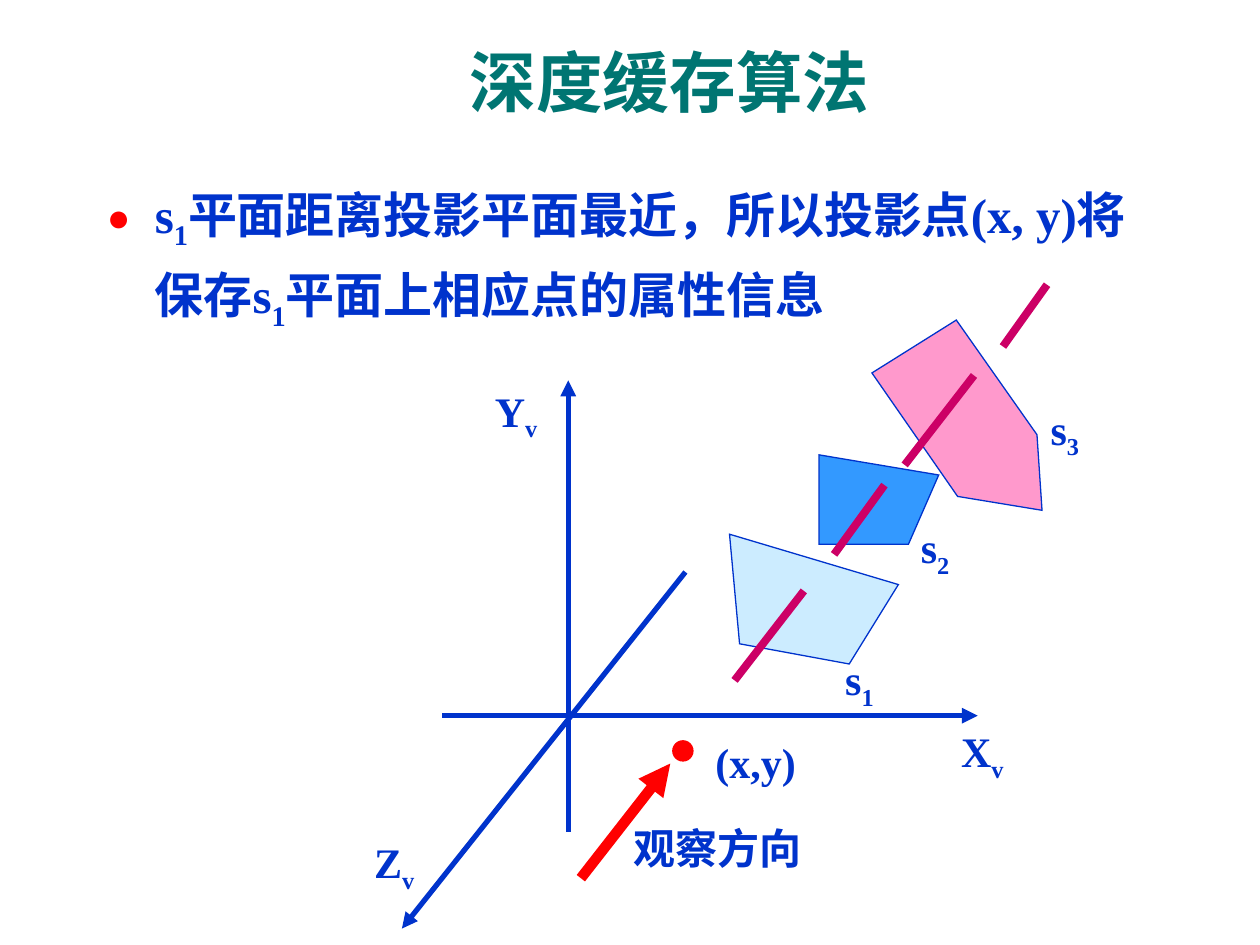
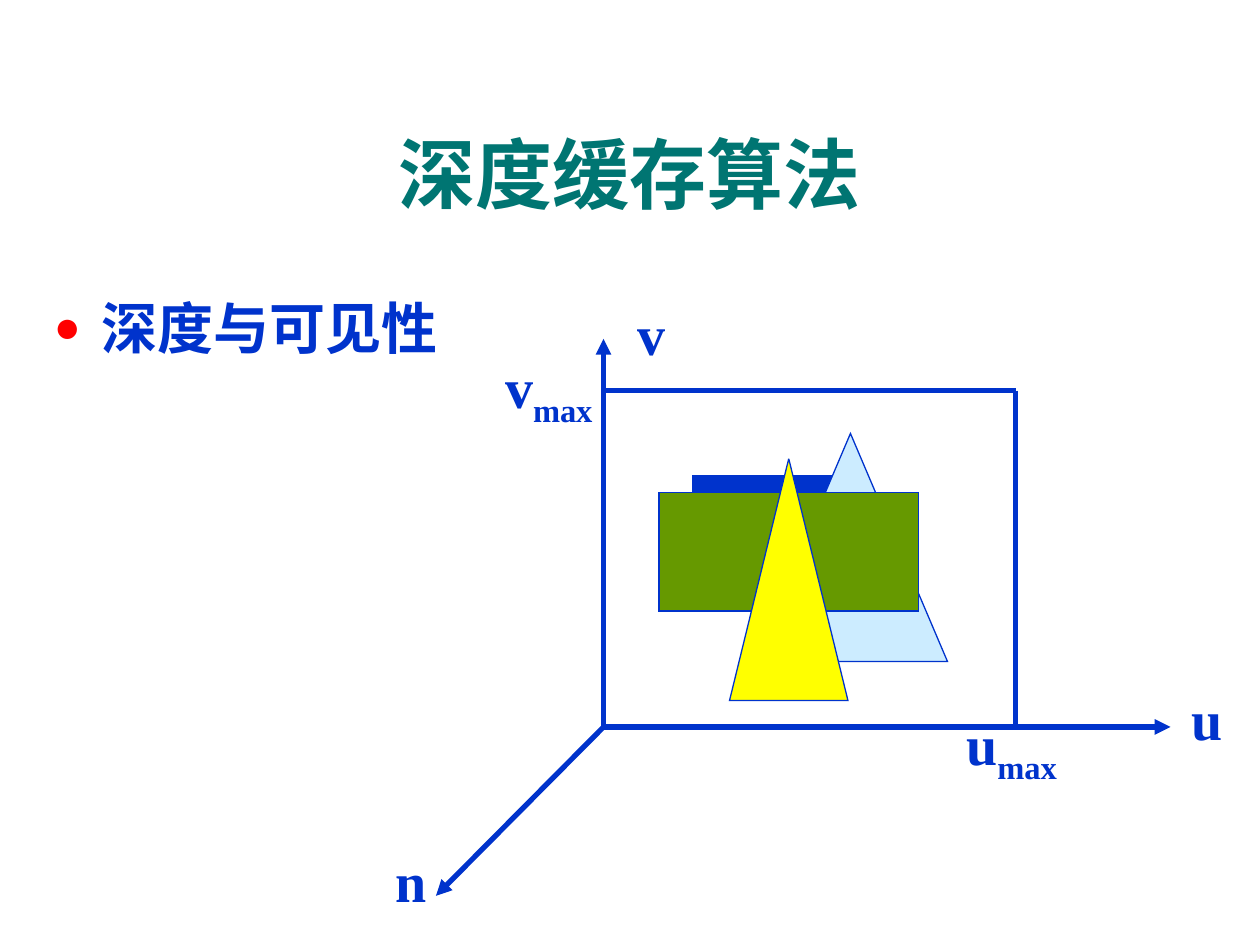
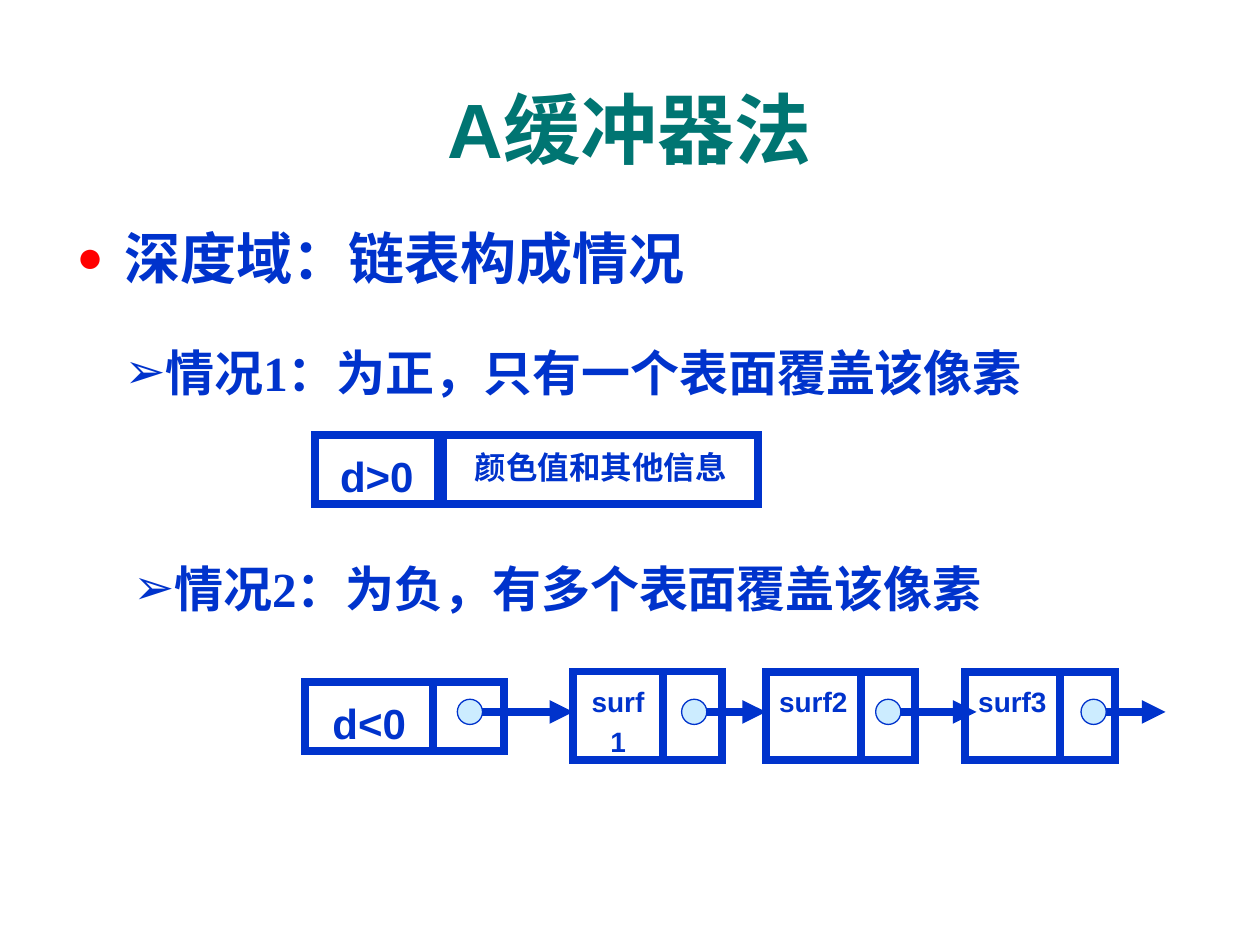
from lxml import etree
from pptx import Presentation
from pptx.dml.color import RGBColor
from pptx.enum.shapes import MSO_CONNECTOR as Connector, MSO_SHAPE as Preset
from pptx.enum.text import (
    MSO_ANCHOR as Anchor, MSO_AUTO_SIZE as AutoSize, PP_ALIGN as Align)
from pptx.oxml.ns import qn
from pptx.util import Inches, Pt

COLORS = {
    "title": "007572",
    "blue": "0033CC",
    "red": "FF0000",
    "white": "FFFFFF",
    "pink": "FF99CC",
    "sky": "3399FF",
    "pale": "CCECFF",
    "magenta": "CC0066",
    "green": "669900",
    "yellow": "FFFF00",
}
SANS = "Arial"
SERIF = "Times New Roman"


def rgb(name):
    return RGBColor.from_string(COLORS[name])


def add_runs(paragraph, parts, size, font=SERIF, color="blue"):
    """Parts alternate between normal text and subscript."""
    for index, part in enumerate(parts):
        run = paragraph.add_run()
        run.text = part
        run.font.size = Pt(size)
        run.font.name = font
        run.font.bold = True
        run.font.color.rgb = rgb(color)
        if index % 2:
            run._r.get_or_add_rPr().set("baseline", "-25000")


def add_text_box(slide, box, anchor=Anchor.TOP):
    frame = slide.shapes.add_textbox(*map(Inches, box)).text_frame
    frame.word_wrap = True
    frame.vertical_anchor = anchor
    return frame


def add_title(slide, box, text, size=44, anchor=Anchor.BOTTOM):
    paragraph = add_text_box(slide, box, anchor).paragraphs[0]
    paragraph.alignment = Align.CENTER
    add_runs(paragraph, [text], size, SANS, "title")


def add_label(slide, box, *parts, size=24):
    frame = add_text_box(slide, box)
    frame.word_wrap = False
    frame.auto_size = AutoSize.SHAPE_TO_FIT_TEXT
    add_runs(frame.paragraphs[0], parts, size)


def set_bullet(paragraph, character, color, indent, percent=100):
    properties = paragraph._p.get_or_add_pPr()
    properties.set("marL", str(Inches(indent)))
    properties.set("indent", str(-Inches(indent)))
    bullet_color = etree.SubElement(properties, qn("a:buClr"))
    etree.SubElement(bullet_color, qn("a:srgbClr")).set("val", COLORS[color])
    etree.SubElement(properties, qn("a:buSzPct")).set("val", str(percent * 1000))
    etree.SubElement(properties, qn("a:buFont")).set("typeface", SANS)
    etree.SubElement(properties, qn("a:buChar")).set("char", character)


def add_bullet(slide, box, *parts, size=32, font=SANS):
    paragraph = add_text_box(slide, box).paragraphs[0]
    paragraph.line_spacing = 1.2
    paragraph.space_before = Pt(size / 4)
    set_bullet(paragraph, "●", "red", 0.38, 80)
    add_runs(paragraph, parts, size, font)


def add_case(slide, box, text):
    paragraph = add_text_box(slide, box).paragraphs[0]
    paragraph.space_before = Pt(17.5)
    set_bullet(paragraph, "➢", "blue", 0.24)
    add_runs(paragraph, [text], 28)


def style_shape(shape, fill, line, width):
    shape.shadow.inherit = False
    if fill:
        shape.fill.solid()
        shape.fill.fore_color.rgb = rgb(fill)
    else:
        shape.fill.background()
    shape.line.color.rgb = rgb(line)
    shape.line.width = Pt(width)
    join = etree.SubElement(shape.line._get_or_add_ln(), qn("a:miter"))
    join.set("lim", "800000")


def add_preset(slide, preset, box, fill=None, line="blue", width=0.75):
    shape = slide.shapes.add_shape(preset, *map(Inches, box))
    style_shape(shape, fill, line, width)
    return shape


def add_polygon(slide, points, fill):
    start, *others = [(Inches(x), Inches(y)) for x, y in points]
    builder = slide.shapes.build_freeform(*start)
    builder.add_line_segments(others, close=True)
    style_shape(builder.convert_to_shape(), fill, "blue", 0.75)


def add_line(slide, start, end, color="blue", width=3, arrow=False):
    connector = slide.shapes.add_connector(
        Connector.STRAIGHT, *map(Inches, (*start, *end)))
    connector.line.color.rgb = rgb(color)
    connector.line.width = Pt(width)
    if arrow:
        line = connector.line._get_or_add_ln()
        etree.SubElement(line, qn("a:tailEnd")).set("type", "triangle")
    etree.SubElement(connector._element.spPr, qn("a:effectLst"))


def add_cell(slide, box, text="", size=24):
    shape = add_preset(slide, Preset.RECTANGLE, box, width=4.5)
    if text:
        frame = shape.text_frame
        frame.word_wrap = True
        frame.vertical_anchor = Anchor.TOP
        paragraph = frame.paragraphs[0]
        paragraph.alignment = Align.CENTER
        paragraph.line_spacing = 1.2
        paragraph.space_before = Pt(size / 4)
        add_runs(paragraph, [text], size, SANS)


def add_node(slide, left, middle, right, top, height, text, size, edges):
    bottom = top + height
    add_cell(slide, (middle, top, right - middle, height))
    add_cell(slide, (left, top, middle - left, height), text, size)
    sides = {
        "top": ((left, top), (right, top)),
        "bottom": ((left, bottom), (right, bottom)),
        "left": ((left, top), (left, bottom)),
        "middle": ((middle, top), (middle, bottom)),
        "right": ((right, top), (right, bottom)),
    }
    for edge in edges:
        add_line(slide, *sides[edge], width=4.5)


def build_projection_slide(slide):
    surfaces = [
        ("3", "pink", (8.24, 3.15),
         [(8.23, 3.45), (8.27, 4.05), (7.6, 3.94), (6.92, 2.96), (7.59, 2.54)]),
        ("2", "sky", (7.21, 4.09),
         [(6.5, 3.61), (6.5, 4.32), (7.21, 4.32), (7.45, 3.77)]),
        ("1", "pale", (6.61, 5.14),
         [(5.79, 4.24), (5.87, 5.11), (6.74, 5.27), (7.13, 4.64)]),
    ]
    for number, fill, place, points in surfaces:
        add_polygon(slide, points, fill)
        add_label(slide, (*place, 0.44, 0.56), "s", number)

    add_bullet(slide, (0.75, 1.31, 8.58, 1.37), "s", "1",
               "平面距离投影平面最近，所以投影点(x, y)将保存s", "1",
               "平面上相应点的属性信息", size=28, font=SERIF)
    add_title(slide, (2.05, 0.28, 6.53, 0.73), "深度缓存算法", 38)

    axes = [
        ("X", (3.51, 5.68), (7.76, 5.68), (7.53, 5.71, 0.54, 0.56)),
        ("Y", (4.51, 6.6), (4.51, 3.02), (3.83, 3.01, 0.54, 0.56)),
        ("Z", (5.44, 4.54), (3.19, 7.37), (2.87, 6.59, 0.52, 0.56)),
    ]
    for name, start, end, label_box in axes:
        add_line(slide, start, end, arrow=True)
        add_label(slide, label_box, name, "v")

    add_label(slide, (4.93, 6.48, 1.53, 0.5), "观察方向")
    add_line(slide, (4.61, 6.97), (5.32, 6.06), "red", 6, arrow=True)
    view_ray = [
        ((5.83, 5.4), (6.38, 4.69)),
        ((6.62, 4.4), (7.02, 3.85)),
        ((7.18, 3.69), (7.73, 2.98)),
        ((7.96, 2.75), (8.31, 2.26)),
    ]
    for start, end in view_ray:
        add_line(slide, start, end, "magenta", 4.5)
    add_label(slide, (5.58, 5.8, 0.84, 0.5), "(x,y)")
    add_preset(slide, Preset.OVAL, (5.34, 5.88, 0.16, 0.16), "red", "red")


def build_visibility_slide(slide):
    add_preset(slide, Preset.RECTANGLE, (5.47, 3.75, 1.18, 1.02),
               "blue", "white", 3)
    add_bullet(slide, (0.33, 2.17, 9.34, 0.74), "深度与可见性")

    origin = (4.79, 5.77)
    corner = (8.06, 3.1)
    add_line(slide, corner, (corner[0], origin[1]))
    add_line(slide, corner, (4.81, corner[1]))

    triangle = Preset.ISOSCELES_TRIANGLE
    add_preset(slide, triangle, (5.98, 3.44, 1.54, 1.81), "pale")
    add_preset(slide, Preset.RECTANGLE, (5.23, 3.91, 2.06, 0.94), "green")
    add_preset(slide, triangle, (5.79, 3.64, 0.94, 1.92), "yellow")

    for end in [(9.29, 5.77), (4.79, 2.69), (3.46, 7.11)]:
        add_line(slide, origin, end, arrow=True)
    labels = [
        ((9.36, 5.38, 0.45, 0.64), ["u"]),
        ((4.96, 2.33, 0.42, 0.64), ["v"]),
        ((3.04, 6.67, 0.45, 0.64), ["n"]),
        ((7.57, 5.58, 0.92, 0.71), ["u", "max"]),
        ((3.91, 2.75, 0.89, 0.71), ["v", "max"]),
    ]
    for box, parts in labels:
        add_label(slide, box, *parts, size=32)
    add_title(slide, (0.33, 0.96, 9.34, 0.83), "深度缓存算法",
              anchor=Anchor.MIDDLE)


def build_buffer_slide(slide):
    add_bullet(slide, (0.51, 1.62, 8.84, 0.74), "深度域：链表构成情况")
    add_title(slide, (0.33, 0.6, 9.34, 0.83), "A缓冲器法")

    add_cell(slide, (3.52, 3.45, 2.5, 0.55), "颜色值和其他信息", 18)
    add_cell(slide, (2.5, 3.45, 0.98, 0.55), "d>0")
    add_line(slide, (2.5, 3.45), (2.5, 4), width=2.25)

    all_edges = ["top", "bottom", "left", "middle", "right"]
    nodes = [
        (2.42, 3.44, 4, 5.41, 0.55, "d<0", 24, ["right"]),
        (4.55, 5.26, 5.73, 5.33, 0.7, "surf1", 16, ["left", "right"]),
        (6.08, 6.83, 7.26, 5.33, 0.7, "surf2", 16, all_edges),
        (7.66, 8.41, 8.85, 5.33, 0.7, "surf3", 16, all_edges),
    ]
    for node in nodes:
        add_node(slide, *node)

    pointers = [(3.76, 4.55, 3.63), (5.5, 6.08, 5.41),
                (7, 7.75, 6.95), (8.61, 9.25, 8.58)]
    for start, end, dot_left in pointers:
        add_line(slide, (start, 5.65), (end, 5.65), width=4.5, arrow=True)
        add_preset(slide, Preset.OVAL, (dot_left, 5.55, 0.2, 0.2), "pale")

    add_case(slide, (0.89, 2.67, 7.49, 0.57),
             "情况1：为正，只有一个表面覆盖该像素")
    add_case(slide, (0.96, 4.38, 7.1, 0.57),
             "情况2：为负，有多个表面覆盖该像素")


def main():
    presentation = Presentation()
    presentation.slide_width = Inches(10)
    presentation.slide_height = Inches(7.5)
    blank = presentation.slide_layouts[6]
    for build in (build_projection_slide, build_visibility_slide,
                  build_buffer_slide):
        build(presentation.slides.add_slide(blank))
    presentation.save("out.pptx")


if __name__ == "__main__":
    main()
